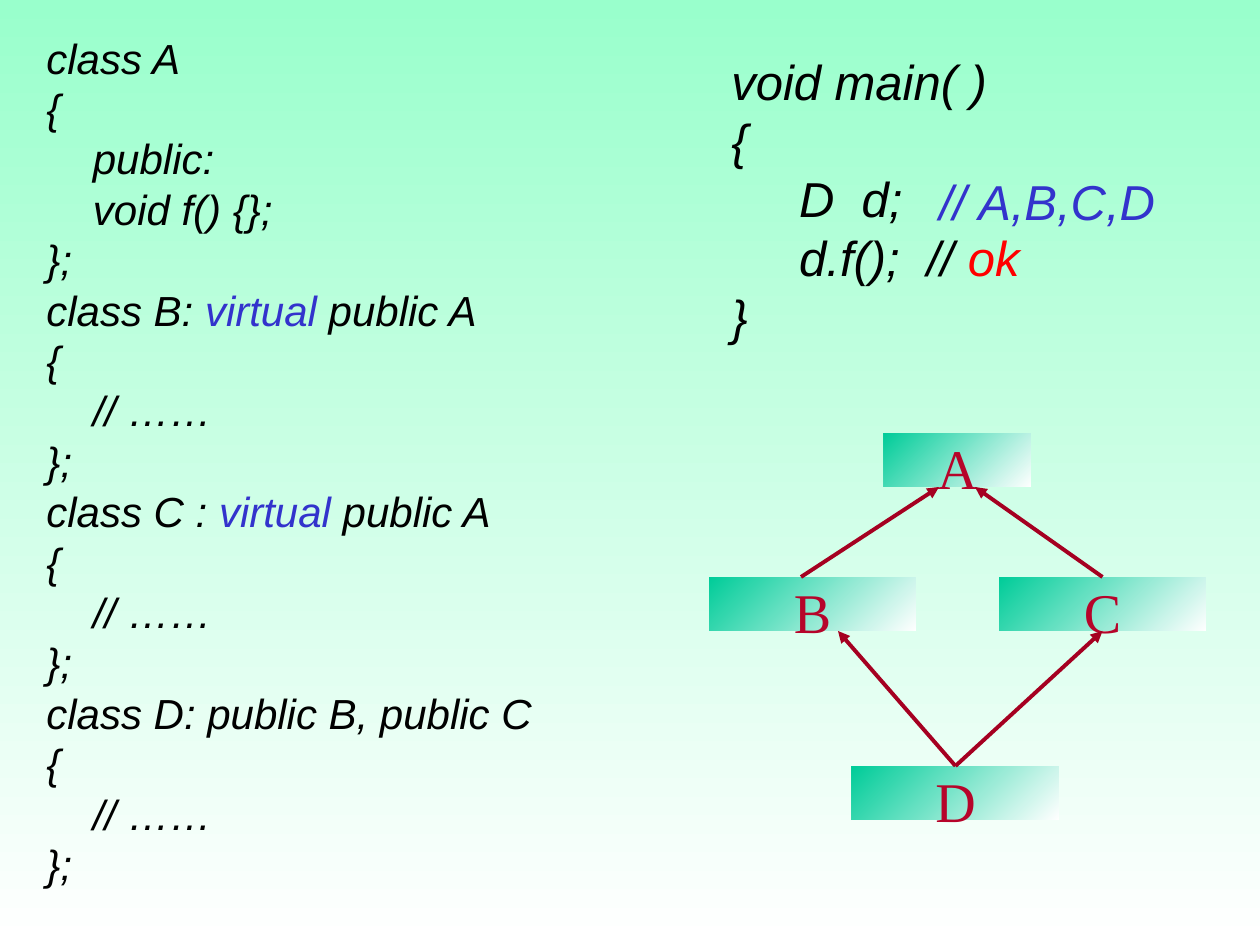
from dataclasses import dataclass

import pptx
import pptx.dml.color
import pptx.enum.shapes
import pptx.enum.text
import pptx.oxml
import pptx.oxml.ns
import pptx.util

EMU_PER_PX = 914400 / 126
BLACK, BLUE, RED = "000000", "3333CC", "FF0000"
LETTER, ARROW = "B6042A", "A50021"
WHITE, GREEN, MINT = "FFFFFF", "00CC99", "99FFCC"
TOP, BOTTOM = 0, 2

Line = list[tuple[str, str]]


@dataclass
class Code:
    left: int
    top: int
    width: int
    height: int
    size: int
    lines: list[Line]


@dataclass
class ClassBox:
    letter: str
    left: int
    top: int
    width: int = 207


@dataclass
class Inheritance:
    child: str
    parent: str
    start: tuple[int, int]
    end: tuple[int, int]
    child_joined: bool
    parent_joined: bool


def px(length: int) -> int:
    return round(length * EMU_PER_PX)


def rgb(code: str) -> pptx.dml.color.RGBColor:
    return pptx.dml.color.RGBColor.from_string(code)


def plain(*texts: str) -> list[Line]:
    return [[(text, BLACK)] for text in texts]


def derived(heading: str) -> list[Line]:
    return [
        [(heading, BLACK), ("virtual ", BLUE), ("public A", BLACK)],
        *plain("{", "    // ……", "};"),
    ]


def fill_gradient(fill, start: str, end: str, angle: int) -> None:
    fill.gradient()
    fill.gradient_angle = angle
    for stop, code in zip(fill.gradient_stops, (start, end)):
        stop.color.rgb = rgb(code)


def draw_code(slide, code: Code) -> None:
    box = slide.shapes.add_textbox(
        px(code.left), px(code.top), px(code.width), px(code.height)
    )
    frame = box.text_frame
    frame.word_wrap = True
    frame.auto_size = pptx.enum.text.MSO_AUTO_SIZE.SHAPE_TO_FIT_TEXT
    for index, line in enumerate(code.lines):
        paragraph = frame.add_paragraph() if index else frame.paragraphs[0]
        paragraph.font.name = "Arial"
        paragraph.font.size = pptx.util.Pt(code.size)
        paragraph.font.italic = True
        if len(line) == 1:
            paragraph.font.color.rgb = rgb(line[0][1])
        for text, color in line:
            run = paragraph.add_run()
            run.text = text
            if len(line) > 1:
                run.font.color.rgb = rgb(color)


def draw_class(slide, box: ClassBox):
    shape = slide.shapes.add_shape(
        pptx.enum.shapes.MSO_SHAPE.RECTANGLE,
        px(box.left), px(box.top), px(box.width), px(54),
    )
    shape.shadow.inherit = False
    shape.line.fill.background()
    fill_gradient(shape.fill, WHITE, GREEN, 135)
    frame = shape.text_frame
    frame.word_wrap = False
    frame.vertical_anchor = pptx.enum.text.MSO_ANCHOR.MIDDLE
    frame.margin_top = frame.margin_bottom = px(1)
    paragraph = frame.paragraphs[0]
    paragraph.text = box.letter
    paragraph.alignment = pptx.enum.text.PP_ALIGN.CENTER
    paragraph.line_spacing = 1.2
    paragraph.font.name = "Times New Roman"
    paragraph.font.size = pptx.util.Pt(32)
    paragraph.font.color.rgb = rgb(LETTER)
    return shape


def draw_inheritance(slide, link: Inheritance, classes: dict) -> None:
    arrow = slide.shapes.add_connector(
        pptx.enum.shapes.MSO_CONNECTOR.STRAIGHT,
        *map(px, link.start + link.end),
    )
    if link.child_joined:
        arrow.begin_connect(classes[link.child], TOP)
    if link.parent_joined:
        arrow.end_connect(classes[link.parent], BOTTOM)
    arrow.line.color.rgb = rgb(ARROW)
    arrow.line.width = pptx.util.Pt(2.25)
    head = pptx.oxml.parse_xml(
        f'<a:tailEnd {pptx.oxml.ns.nsdecls("a")} type="triangle"/>'
    )
    arrow.line._get_or_add_ln().append(head)
    effects = pptx.oxml.parse_xml(f'<a:effectLst {pptx.oxml.ns.nsdecls("a")}/>')
    arrow._element.spPr.append(effects)


CODES = [
    Code(34, 26, 556, 869, 24, [
        *plain("class A", "{", "    public:", "    void f() {};", "};"),
        *derived("class B: "),
        *derived("class C : "),
        *plain("class D: public B, public C", "{", "    // ……", "};"),
    ]),
    Code(719, 45, 476, 307, 28, [
        *plain("void main( )", "{", "     D  d;"),
        [("     d.f();  // ", BLACK), ("ok", RED)],
        *plain("}"),
    ]),
    Code(927, 165, 267, 72, 28, [[("// A,B,C,D", BLUE)]]),
]
CLASSES = [
    ClassBox("A", 884, 433, 147),
    ClassBox("B", 709, 577),
    ClassBox("C", 999, 577),
    ClassBox("D", 852, 766),
]
INHERITANCES = [
    Inheritance("B", "A", (801, 577), (939, 487), False, False),
    Inheritance("C", "A", (1105, 577), (975, 487), True, False),
    Inheritance("D", "B", (958, 766), (838, 631), True, False),
    Inheritance("D", "C", (958, 766), (1105, 631), True, True),
]


def main() -> None:
    deck = pptx.Presentation()
    deck.slide_width, deck.slide_height = px(1260), px(945)
    slide = deck.slides.add_slide(deck.slide_layouts[6])
    fill_gradient(slide.background.fill, MINT, WHITE, 270)
    for code in CODES:
        draw_code(slide, code)
    classes = {box.letter: draw_class(slide, box) for box in CLASSES}
    for link in INHERITANCES:
        draw_inheritance(slide, link, classes)
    deck.save("out.pptx")


if __name__ == "__main__":
    main()
